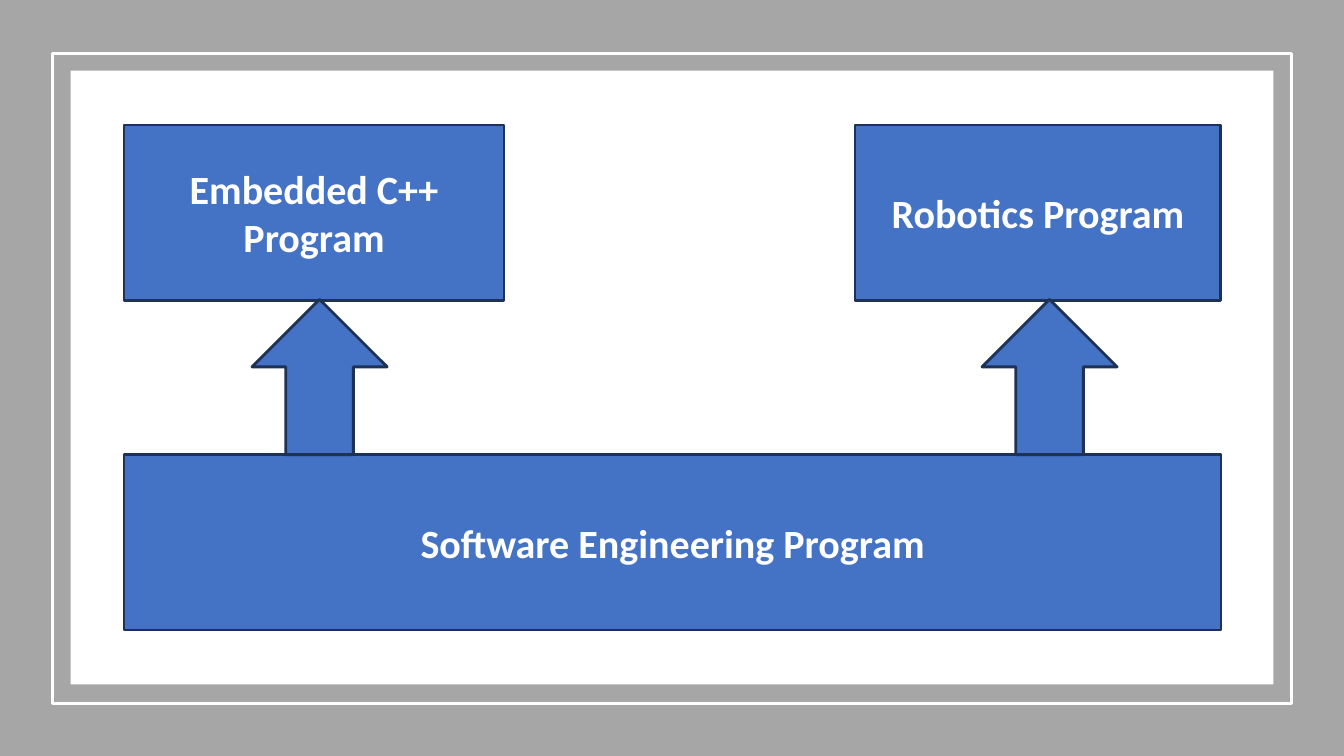
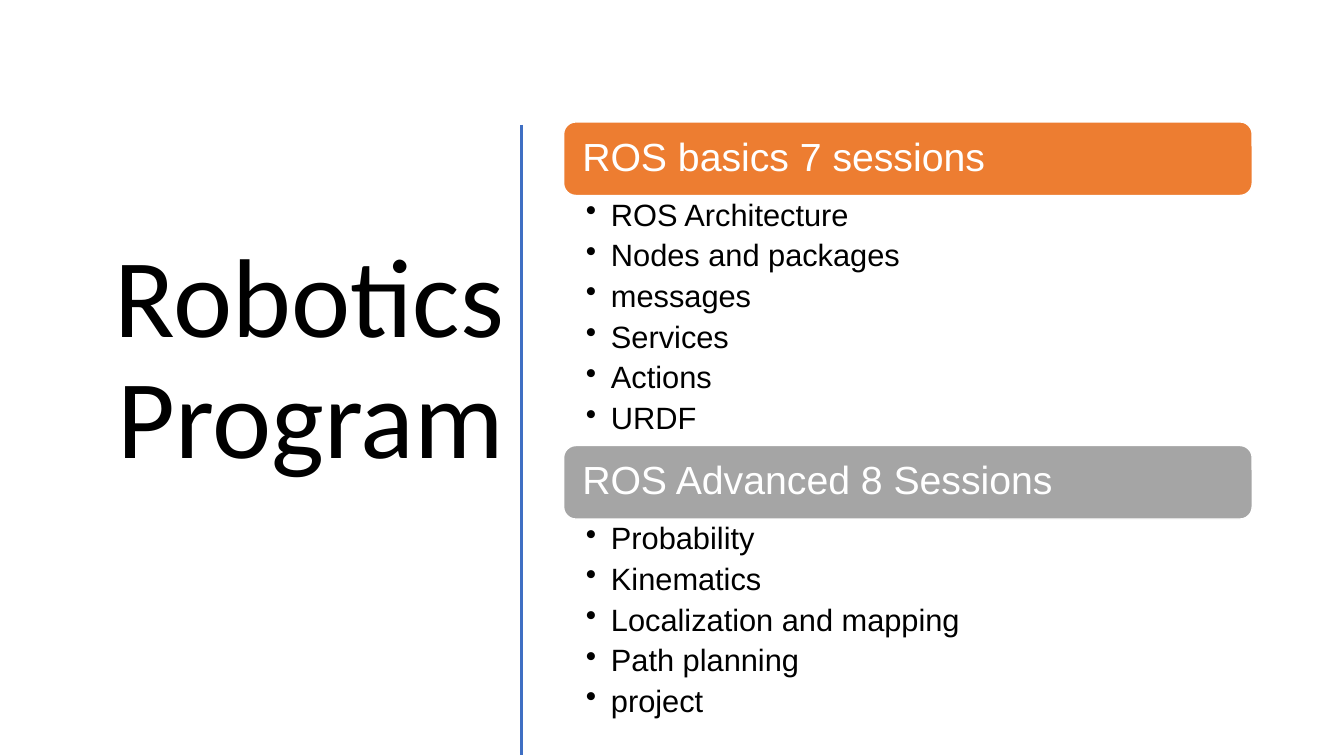
from dataclasses import dataclass
from typing import Any, Optional

from lxml import etree
from pptx import Presentation
from pptx.dml.color import RGBColor
from pptx.enum import shapes, text
from pptx.oxml import ns
from pptx.util import Inches, Pt

WHITE = RGBColor(0xFF, 0xFF, 0xFF)
BLACK = RGBColor(0, 0, 0)
BACKDROP_GRAY = RGBColor(0xA6, 0xA6, 0xA6)
BLUE = RGBColor(0x44, 0x72, 0xC4)
NAVY = RGBColor(0x1E, 0x32, 0x56)
RULE_BLUE = RGBColor(0x3F, 0x6F, 0xC3)
ORANGE = RGBColor(0xED, 0x7D, 0x31)
GRAY = RGBColor(0xA5, 0xA5, 0xA5)

KIND = shapes.MSO_SHAPE
LEFT, CENTER, RIGHT = text.PP_ALIGN.LEFT, text.PP_ALIGN.CENTER, text.PP_ALIGN.RIGHT

PROGRAM_FONT = dict(name="Calibri", size=Pt(28.6), bold=True)
TITLE_FONT = dict(name="Calibri", size=Pt(80))
HEADING_FONT = dict(name="Arial", size=Pt(28))
TOPIC_FONT = dict(name="Arial", size=Pt(22))

SLIDE_W, SLIDE_H = 13.33, 7.5


@dataclass(frozen=True)
class Box:
    left: float
    top: float
    width: float
    height: float

    def lengths(self) -> list[int]:
        return [Inches(v) for v in (self.left, self.top, self.width, self.height)]


@dataclass(frozen=True)
class Program:
    label: str
    box: Box


@dataclass(frozen=True)
class Course:
    heading: str
    color: RGBColor
    top: float
    topics: tuple[str, ...]


BASE_PROGRAM = Program("Software Engineering Program", Box(1.23, 4.51, 10.88, 1.74))
UPPER_PROGRAMS = (
    Program("Embedded C++ Program", Box(1.23, 1.24, 3.77, 1.74)),
    Program("Robotics Program", Box(8.48, 1.24, 3.63, 1.74)),
)
ARROW_LEFTS = (2.5, 9.74)

COURSES = (
    Course("ROS basics 7 sessions", ORANGE, 1.21,
           ("ROS Architecture", "Nodes and packages", "messages",
            "Services", "Actions", "URDF")),
    Course("ROS Advanced 8 Sessions", GRAY, 4.42,
           ("Probability", "Kinematics", "Localization and mapping",
            "Path planning", "project")),
)
COURSE_LEFT, COURSE_W, HEADING_H, TOPIC_PITCH = 5.59, 6.83, 0.73, 0.39


def set_all(target: Any, values: dict[str, Any]) -> None:
    for name, value in values.items():
        setattr(target, name, value)


def add_panel(slide: Any, kind: Any, box: Box, fill: Optional[RGBColor] = None,
              line: Optional[RGBColor] = None, line_width: float = 2) -> Any:
    """Add a flat preset shape; a missing colour means no fill or no line."""
    panel = slide.shapes.add_shape(kind, *box.lengths())
    panel.shadow.inherit = False
    if fill is None:
        panel.fill.background()
    else:
        panel.fill.solid()
        panel.fill.fore_color.rgb = fill
    if line is None:
        panel.line.fill.background()
    else:
        panel.line.color.rgb = line
        panel.line.width = Pt(line_width)
    return panel


def write(shape: Any, lines: tuple[str, ...], font: dict[str, Any], color: RGBColor,
          anchor: Any = text.MSO_ANCHOR.MIDDLE, margins: tuple[float, float] = (0.1, 0.05),
          **paragraph_format: Any) -> None:
    """Fill a shape with one paragraph per line; margins are (side, top and bottom)."""
    frame = shape.text_frame
    side, end = (Inches(m) for m in margins)
    set_all(frame, dict(word_wrap=True, vertical_anchor=anchor, margin_left=side,
                        margin_right=side, margin_top=end, margin_bottom=end))
    for index, line in enumerate(lines):
        paragraph = frame.add_paragraph() if index else frame.paragraphs[0]
        set_all(paragraph, paragraph_format)
        run = paragraph.add_run()
        run.text = line
        set_all(run.font, font)
        run.font.color.rgb = color


def add_bullets(shape: Any, indent: float) -> None:
    for paragraph in shape.text_frame.paragraphs:
        properties = paragraph._p.get_or_add_pPr()
        properties.set("marL", str(Inches(indent)))
        properties.set("indent", str(-Inches(indent)))
        etree.SubElement(properties, ns.qn("a:buChar")).set("char", "•")


def add_rule(slide: Any, x: float, top: float, bottom: float) -> None:
    rule = slide.shapes.add_connector(shapes.MSO_CONNECTOR.STRAIGHT, Inches(x), Inches(top),
                                      Inches(x), Inches(bottom))
    rule.line.color.rgb = RULE_BLUE
    rule.line.width = Pt(2)
    etree.SubElement(rule._element.spPr, ns.qn("a:effectLst"))


def add_course(slide: Any, course: Course) -> None:
    heading = add_panel(slide, KIND.ROUNDED_RECTANGLE,
                        Box(COURSE_LEFT, course.top, COURSE_W, HEADING_H),
                        course.color, WHITE, 1)
    write(heading, (course.heading,), HEADING_FONT, WHITE, margins=(0.15, 0.12),
          alignment=LEFT, line_spacing=0.9)
    topics_box = Box(COURSE_LEFT, course.top + HEADING_H, COURSE_W,
                     TOPIC_PITCH * len(course.topics) + 0.13)
    topics = slide.shapes.add_textbox(*topics_box.lengths())
    write(topics, course.topics, TOPIC_FONT, BLACK, text.MSO_ANCHOR.TOP, (0.22, 0.04),
          alignment=LEFT, line_spacing=0.9, space_after=Pt(5.3))
    add_bullets(topics, 0.25)


def build_overview(slide: Any) -> None:
    add_panel(slide, KIND.RECTANGLE, Box(0, 0, SLIDE_W, SLIDE_H), BACKDROP_GRAY)
    add_panel(slide, KIND.RECTANGLE, Box(0.52, 0.53, 12.29, 6.45), line=WHITE)
    add_panel(slide, KIND.RECTANGLE, Box(0.7, 0.7, 11.93, 6.09), WHITE)
    for program in (BASE_PROGRAM, *UPPER_PROGRAMS):
        block = add_panel(slide, KIND.RECTANGLE, program.box, BLUE, NAVY)
        write(block, (program.label,), PROGRAM_FONT, WHITE, alignment=CENTER,
              space_after=Pt(6))
    for left in ARROW_LEFTS:
        add_panel(slide, KIND.UP_ARROW, Box(left, 2.97, 1.34, 1.54), BLUE, NAVY)


def build_robotics(slide: Any) -> None:
    title = slide.shapes.add_textbox(*Box(0.07, 1.3, 5.03, 4.58).lengths())
    write(title, ("Robotics Program",), TITLE_FONT, BLACK, alignment=RIGHT, line_spacing=0.9)
    add_rule(slide, 5.17, 1.24, 7.49)
    for course in COURSES:
        add_course(slide, course)


def main() -> None:
    deck = Presentation()
    deck.slide_width, deck.slide_height = Inches(SLIDE_W), Inches(SLIDE_H)
    blank = deck.slide_layouts[6]
    for build in (build_overview, build_robotics):
        build(deck.slides.add_slide(blank))
    deck.save("out.pptx")


if __name__ == "__main__":
    main()
